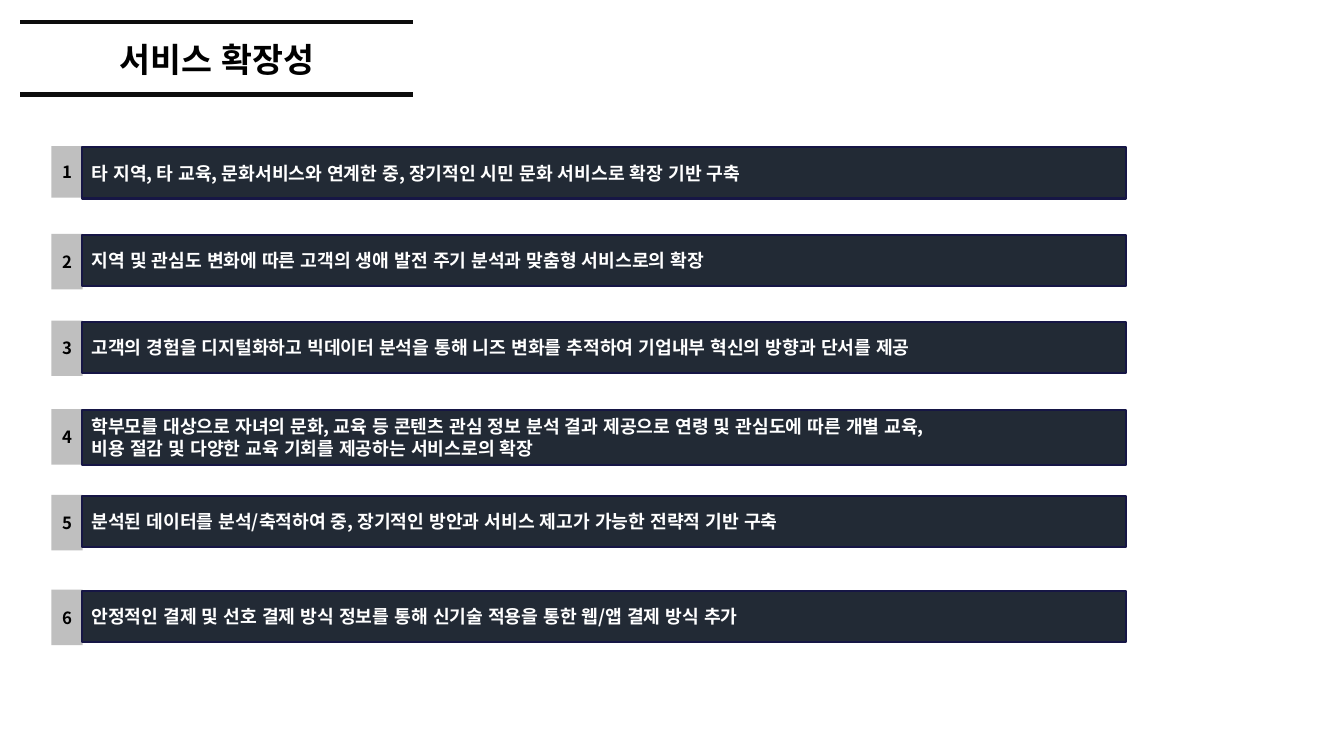
from lxml.etree import SubElement
from pptx import Presentation
from pptx.dml.color import RGBColor
from pptx.enum.lang import MSO_LANGUAGE_ID as Language
from pptx.enum.shapes import MSO_CONNECTOR as Connector, MSO_SHAPE as Shape
from pptx.enum.text import MSO_ANCHOR as Anchor, MSO_AUTO_SIZE as AutoSize, PP_ALIGN as Align
from pptx.oxml.ns import qn
from pptx.util import Inches, Pt

TITLE = "서비스 확장성"
# top of the row, height of the number tab, height of the bar, lines of text
ROWS = [
    (1.45, 0.51, 0.51, ["타 지역, 타 교육, 문화서비스와 연계한 중, 장기적인 시민 문화 서비스로 확장 기반 구축"]),
    (2.32, 0.55, 0.51, ["지역 및 관심도 변화에 따른 고객의 생애 발전 주기 분석과 맞춤형 서비스로의 확장"]),
    (3.18, 0.55, 0.51, ["고객의 경험을 디지털화하고 빅데이터 분석을 통해 니즈 변화를 추적하여 기업내부 혁신의 방향과 단서를 제공"]),
    (4.06, 0.55, 0.54, ["학부모를 대상으로 자녀의 문화, 교육 등 콘텐츠 관심 정보 분석 결과 제공으로 연령 및 관심도에 따른 개별 교육,",
                        "비용 절감 및 다양한 교육 기회를 제공하는 서비스로의 확장"]),
    (4.91, 0.55, 0.51, ["분석된 데이터를 분석/축적하여 중, 장기적인 방안과 서비스 제고가 가능한 전략적 기반 구축"]),
    (5.85, 0.55, 0.51, ["안정적인 결제 및 선호 결제 방식 정보를 통해 신기술 적용을 통한 웹/앱 결제 방식 추가"]),
]
FONT = "Noto Sans CJK KR"
COLORS = {"rule": "0D0D0D", "tab": "BFBFBF", "bar": "222A35", "edge": "161645",
          "dark": "000000", "light": "FFFFFF"}
TITLE_LEFT, TITLE_WIDTH = 0.2, 3.9
RULE_TOPS = (0.22, 0.94)
TAB_LEFT, TAB_WIDTH = 0.51, 0.31
BAR_LEFT, BAR_WIDTH, BAR_DROP = 0.81, 10.36, 0.01


def color(name):
    return RGBColor.from_string(COLORS[name])


def write(frame, lines, size, ink, align):
    for index, line in enumerate(lines):
        para = frame.paragraphs[0] if index == 0 else frame.add_paragraph()
        para.alignment = align
        span = para.add_run()
        span.text = line
        span.font.color.rgb = color(ink)
        style = {"name": FONT, "size": Pt(size), "bold": True, "language_id": Language.KOREAN}
        for key, value in style.items():
            setattr(span.font, key, value)
        # Hangul takes its typeface from the East Asian slot
        SubElement(span.font._element, qn("a:ea"), typeface=FONT)


def add_rule(page, top):
    rule = page.shapes.add_connector(Connector.STRAIGHT, Inches(TITLE_LEFT), Inches(top),
                                     Inches(TITLE_LEFT + TITLE_WIDTH), Inches(top))
    rule.line.color.rgb = color("rule")
    rule.line.width = Pt(3.25)
    SubElement(rule._element.spPr, qn("a:effectLst"))


def add_block(page, left, top, width, height, fill):
    block = page.shapes.add_shape(Shape.RECTANGLE, *map(Inches, (left, top, width, height)))
    block.shadow.inherit = False
    block.fill.solid()
    block.fill.fore_color.rgb = color(fill)
    block.line.fill.background()
    block.text_frame.vertical_anchor = Anchor.MIDDLE
    return block


def add_row(page, number, top, tab_height, bar_height, lines):
    tab = add_block(page, TAB_LEFT, top, TAB_WIDTH, tab_height, "tab")
    tab.text_frame.margin_left = tab.text_frame.margin_right = 0
    write(tab.text_frame, [str(number)], 12, "dark", Align.CENTER)

    bar = add_block(page, BAR_LEFT, top + BAR_DROP, BAR_WIDTH, bar_height, "bar")
    bar.line.color.rgb = color("edge")
    bar.line.width = Pt(1.5)
    bar.text_frame.word_wrap = False
    write(bar.text_frame, lines, 13, "light", Align.LEFT)


def main():
    deck = Presentation()
    deck.slide_width, deck.slide_height = Inches(13.33), Inches(7.5)
    page = deck.slides.add_slide(deck.slide_layouts[6])

    for top in RULE_TOPS:
        add_rule(page, top)
    title = page.shapes.add_textbox(*map(Inches, (TITLE_LEFT, 0.34, TITLE_WIDTH, 0.51)))
    title.text_frame.word_wrap = True
    title.text_frame.auto_size = AutoSize.SHAPE_TO_FIT_TEXT
    write(title.text_frame, [TITLE], 24, "dark", Align.CENTER)

    for number, row in enumerate(ROWS, start=1):
        add_row(page, number, *row)
    deck.save("out.pptx")


if __name__ == "__main__":
    main()
